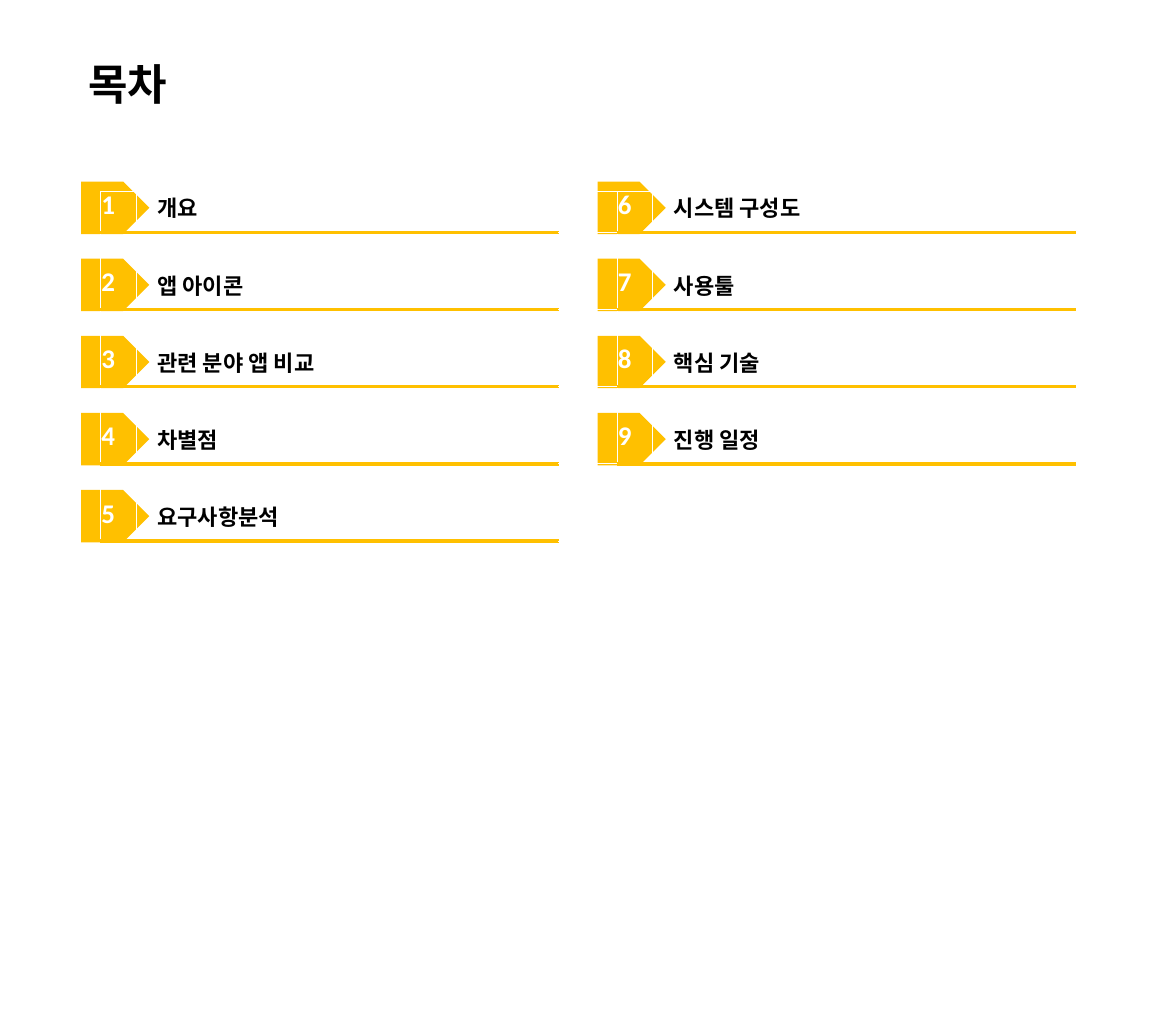
from dataclasses import dataclass

from lxml.etree import SubElement
from pptx import Presentation
from pptx.dml.color import RGBColor
from pptx.enum.shapes import MSO_SHAPE
from pptx.enum.text import MSO_ANCHOR, MSO_AUTO_SIZE, PP_ALIGN
from pptx.oxml.ns import qn
from pptx.util import Cm, Pt

AMBER = RGBColor(0xFF, 0xC0, 0x00)
WHITE = RGBColor(0xFF, 0xFF, 0xFF)
BLACK = RGBColor(0x00, 0x00, 0x00)
KOREAN, LATIN = "Noto Sans CJK KR", "Calibri"

ROWS = 5
ROW_PITCH = 2.22
FIRST_ROW = 1.19
NUMBER_W, LABEL_W, GAP_W = 1.02, 12.17, 1.68
COLUMN_PITCH = NUMBER_W + LABEL_W + GAP_W


@dataclass(frozen=True)
class Entry:
    number: int
    label: str

    @property
    def row(self) -> int:
        return (self.number - 1) % ROWS

    @property
    def column(self) -> int:
        return (self.number - 1) // ROWS


LABELS = ("개요", "앱 아이콘", "관련 분야 앱 비교", "차별점", "요구사항분석",
          "시스템 구성도", "사용툴", "핵심 기술", "진행 일정")
ENTRIES = [Entry(n, label) for n, label in enumerate(LABELS, start=1)]


def write(tf, text: str, *, font: str, size: float, color: RGBColor,
          line: float | None = None) -> None:
    p = tf.paragraphs[0]
    p.alignment = PP_ALIGN.LEFT
    if line:
        p.line_spacing = Pt(line)
    r = p.add_run()
    r.text = text
    r.font.name, r.font.size, r.font.bold = font, Pt(size), True
    r.font.color.rgb = color
    SubElement(r.font._element, qn("a:ea")).set("typeface", font)


def underline(cell, color: RGBColor, width: float) -> None:
    ln = SubElement(cell._tc.get_or_add_tcPr(), qn("a:lnB"), w=str(Pt(width)))
    fill = SubElement(ln, qn("a:solidFill"))
    SubElement(fill, qn("a:srgbClr"), val=str(color))


def fill_cell(cell, text: str, *, left: float, bottom: float, **style) -> None:
    cell.margin_left, cell.margin_bottom = Cm(left), Cm(bottom)
    cell.vertical_anchor = MSO_ANCHOR.BOTTOM
    write(cell.text_frame, text, **style)
    underline(cell, AMBER, 3)


def add_title(s, text: str) -> None:
    title = s.shapes.title
    title.left, title.top, title.width, title.height = Cm(2.54), Cm(1.65), Cm(2.54), Cm(1.8)
    tf = title.text_frame
    tf.margin_left = tf.margin_right = tf.margin_top = tf.margin_bottom = 0
    tf.auto_size, tf.word_wrap = MSO_AUTO_SIZE.NONE, False
    tf.vertical_anchor = MSO_ANCHOR.TOP
    write(tf, text, font=KOREAN, size=35, color=BLACK)


def add_marker(s, entry: Entry) -> None:
    sp = s.shapes.add_shape(
        MSO_SHAPE.PENTAGON, Cm(2.34 + entry.column * COLUMN_PITCH),
        Cm(5.23 + entry.row * ROW_PITCH), Cm(1.96), Cm(1.51))
    sp.shadow.inherit = False
    sp.fill.solid()
    sp.fill.fore_color.rgb = AMBER
    sp.line.fill.background()


def add_contents(s, entries: list[Entry]) -> None:
    widths = (NUMBER_W, LABEL_W, GAP_W, NUMBER_W, LABEL_W)
    heights = (FIRST_ROW,) + (ROW_PITCH,) * (ROWS - 1)
    table = s.shapes.add_table(ROWS, len(widths), Cm(2.9), Cm(5.51),
                               Cm(sum(widths)), Cm(sum(heights))).table
    table.first_row = table.horz_banding = False
    for column, width in zip(table.columns, widths):
        column.width = Cm(width)
    for row, height in zip(table.rows, heights):
        row.height = Cm(height)
    for cell in table.iter_cells():
        cell.margin_left = cell.margin_right = cell.margin_top = cell.margin_bottom = 0

    for entry in entries:
        col = entry.column * 3
        fill_cell(table.cell(entry.row, col), str(entry.number), left=0.02, bottom=0.31,
                  font=LATIN, size=22, color=WHITE, line=22)
        fill_cell(table.cell(entry.row, col + 1), entry.label, left=0.61, bottom=0.27,
                  font=KOREAN, size=18, color=BLACK, line=24)
    # Fills follow the borders in the cell properties
    for cell in table.iter_cells():
        cell.fill.background()


def main() -> None:
    prs = Presentation()
    prs.slide_width, prs.slide_height = Cm(33.86), Cm(29.69)
    s = prs.slides.add_slide(prs.slide_layouts[5])

    # Heading
    add_title(s, "목차")

    # Arrow markers behind the numbers
    for entry in ENTRIES:
        add_marker(s, entry)

    # Numbered contents
    add_contents(s, ENTRIES)
    prs.save("out.pptx")


if __name__ == "__main__":
    main()
